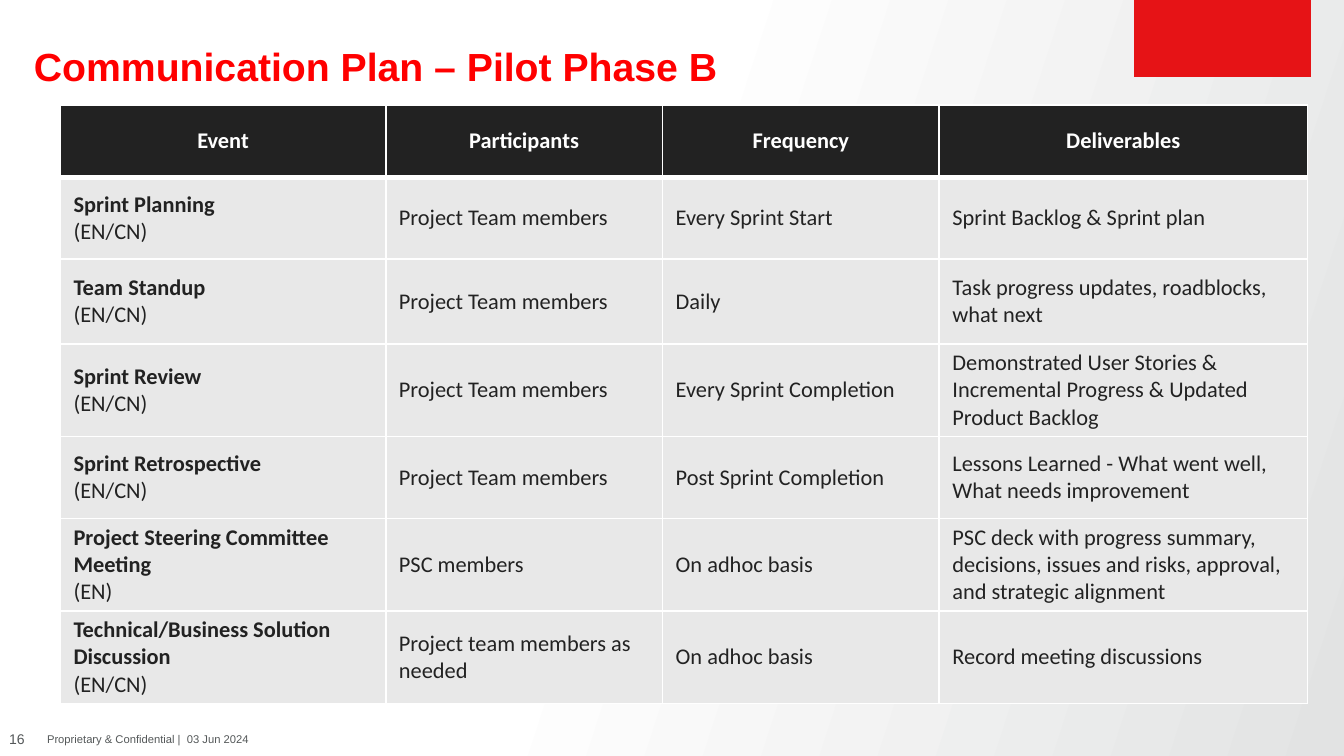
from lxml import etree
from pptx import Presentation
from pptx.dml.color import RGBColor
from pptx.enum.shapes import MSO_SHAPE
from pptx.enum.text import MSO_ANCHOR, MSO_AUTO_SIZE, PP_ALIGN
from pptx.oxml.ns import qn
from pptx.util import Cm, Pt

LEFT, CENTER = PP_ALIGN.LEFT, PP_ALIGN.CENTER
TOP, MIDDLE = MSO_ANCHOR.TOP, MSO_ANCHOR.MIDDLE

# Content
TITLE = "Communication Plan – Pilot Phase B"
PAGE = "16"
FOOTER = "Proprietary & Confidential |  03 Jun 2024"
HEAD = ["Event", "Participants", "Frequency", "Deliverables"]
TEAM, ADHOC = "Project Team members", "On adhoc basis"
ROWS = [
    ["Sprint Planning\n(EN/CN)", TEAM, "Every Sprint Start",
     "Sprint Backlog & Sprint plan"],
    ["Team Standup\n(EN/CN)", TEAM, "Daily",
     "Task progress updates, roadblocks, what next"],
    ["Sprint Review\n(EN/CN)", TEAM, "Every Sprint Completion",
     "Demonstrated User Stories & Incremental Progress & Updated Product Backlog"],
    ["Sprint Retrospective\n(EN/CN)", TEAM, "Post Sprint Completion",
     "Lessons Learned - What went well, What needs improvement"],
    ["Project Steering Committee Meeting\n(EN)", "PSC members", ADHOC,
     "PSC deck with progress summary, decisions, issues and risks, approval, "
     "and strategic alignment"],
    ["Technical/Business Solution Discussion\n(EN/CN)",
     "Project team members as needed", ADHOC, "Record meeting discussions"],
]
WIDTHS = [6.15, 5.23, 5.23, 6.96]
HEIGHTS = [1.37, 1.55, 1.6, 1.55, 1.55, 1.55, 1.55]

# Colours
RED, BLOCK, GREY = "FF0000", "E61316", "545859"
DARK, PALE, WHITE, SHADE = "222222", "E8E8E8", "FFFFFF", "E2E3E3"


def tint(color, code):
    color.rgb = RGBColor.from_string(code)


def style(para, name, size, code, bold=False, align=LEFT):
    para.alignment = align
    for run in para.runs:
        font = run.font
        font.name, font.size, font.bold = name, Pt(size), bold
        tint(font.color, code)


def label(slide, text, box, size, align=LEFT, pad=None):
    frame = slide.shapes.add_textbox(*map(Cm, box)).text_frame
    frame.word_wrap = True
    frame.vertical_anchor = MIDDLE
    if pad is not None:
        frame.margin_left = frame.margin_right = Cm(pad)
        frame.margin_top = frame.margin_bottom = Cm(pad)
    frame.text = text
    style(frame.paragraphs[0], "Arial", size, GREY, align=align)


def border(cell, sides):
    props = cell._tc.get_or_add_tcPr()
    for side, width in sides.items():
        line = etree.SubElement(props, qn("a:ln" + side), w=str(Pt(width)))
        fill = etree.SubElement(line, qn("a:solidFill"))
        etree.SubElement(fill, qn("a:srgbClr"), val=WHITE)


def fill_cell(cell, text, row, col):
    top = row == 0
    # Borders come before the fill in the cell properties
    border(cell, {"L": 1, "R": 1, "T": 3 if row == 1 else 1, "B": 3 if top else 1})
    cell.fill.solid()
    tint(cell.fill.fore_color, DARK if top else PALE)
    cell.vertical_anchor = MIDDLE
    cell.margin_left = cell.margin_right = Cm(0.25)
    cell.margin_top = cell.margin_bottom = Cm(0.1)
    cell.text = text
    for num, para in enumerate(cell.text_frame.paragraphs):
        bold = top or (col == 0 and num == 0)
        style(para, "Calibri", 12, WHITE if top else DARK, bold,
              CENTER if top else LEFT)


def main():
    deck = Presentation()
    deck.slide_width, deck.slide_height = Cm(25.4), Cm(14.29)
    slide = deck.slides.add_slide(deck.slide_layouts[5])

    # Background
    back = slide.background.fill
    back.gradient()
    back.gradient_angle = 342
    for stop, (place, code) in zip(back.gradient_stops, [(0.45, WHITE), (1, SHADE)]):
        stop.position = place
        tint(stop.color, code)

    # Corner block
    block = slide.shapes.add_shape(
        MSO_SHAPE.PARALLELOGRAM, Cm(21.44), 0, Cm(3.33), Cm(1.45))
    block.adjustments[0] = 0
    block.shadow.inherit = False
    block.fill.solid()
    tint(block.fill.fore_color, BLOCK)
    block.line.fill.background()

    # Title
    title = slide.shapes.title
    title.left, title.top, title.width, title.height = map(Cm, (0.64, 0.64, 20.32, 0.79))
    frame = title.text_frame
    frame.auto_size = MSO_AUTO_SIZE.NONE
    frame.vertical_anchor = TOP
    frame.margin_left = frame.margin_right = frame.margin_bottom = 0
    frame.margin_top = Cm(0.09)
    frame.text = TITLE
    para = frame.paragraphs[0]
    para.line_spacing, para.space_after = 1.07, Pt(8)
    style(para, "Arial", 21, RED, True)

    # Plan table
    grid = [HEAD] + ROWS
    table = slide.shapes.add_table(
        len(grid), len(HEAD), Cm(1.14), Cm(1.98),
        Cm(sum(WIDTHS)), Cm(sum(HEIGHTS))).table
    for col, width in zip(table.columns, WIDTHS):
        col.width = Cm(width)
    for row, height in zip(table.rows, HEIGHTS):
        row.height = Cm(height)
    for r, texts in enumerate(grid):
        for c, text in enumerate(texts):
            fill_cell(table.cell(r, c), text, r, c)

    # Footer
    label(slide, PAGE, (0, 13.65, 0.64, 0.64), 7.5, CENTER, 0)
    label(slide, FOOTER, (0.64, 13.65, 12.06, 0.64), 6)

    deck.save("out.pptx")


if __name__ == "__main__":
    main()
